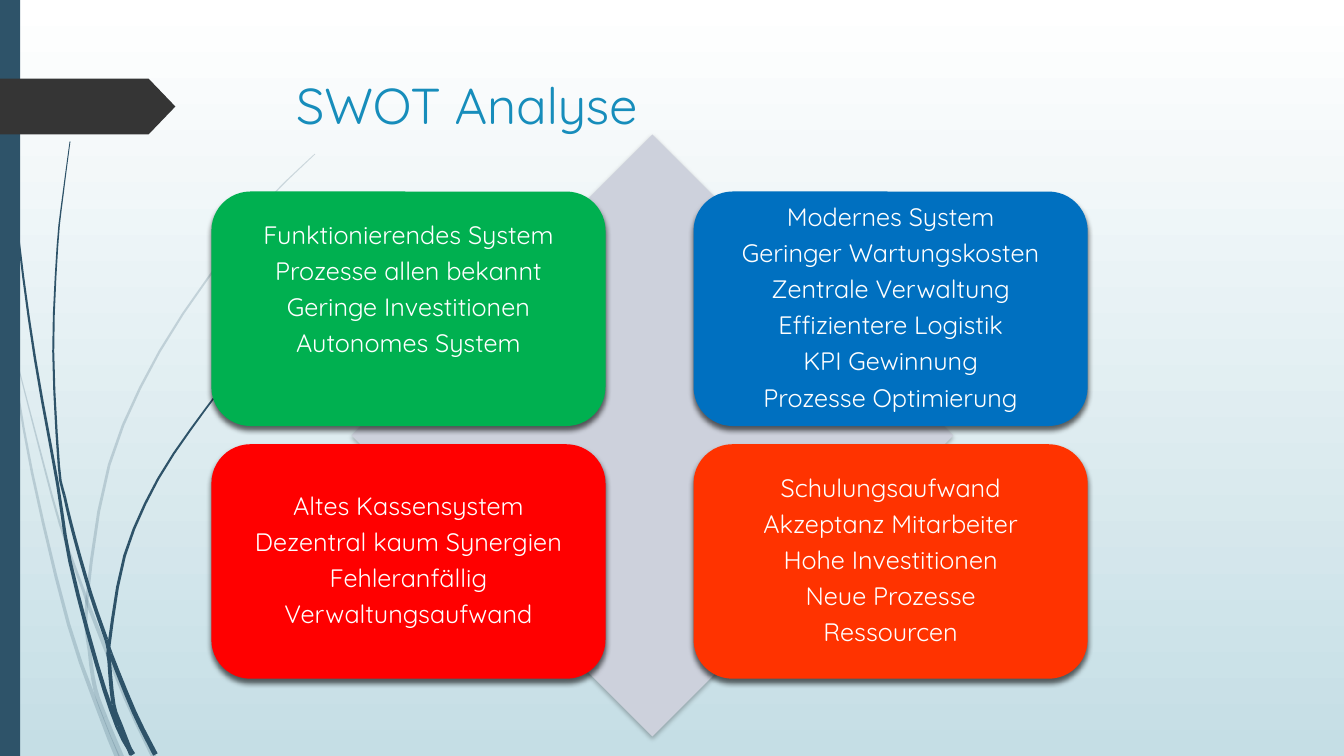
from dataclasses import dataclass
from math import hypot

from lxml import etree
from pptx import Presentation
from pptx import util as u
from pptx.dml.color import RGBColor
from pptx.enum import shapes, text
from pptx.oxml.ns import qn


@dataclass(frozen=True)
class Theme:
    font: str = "Quicksand"
    title_size: int = 36
    card_size: int = 18
    title: str = "178DBB"
    card_text: str = "FFFFFF"
    sky_top: str = "FFFFFF"
    sky_bottom: str = "C5DEE5"
    grass: str = "2E5369"
    tab: str = "353535"
    diamond: str = "CDD1DC"
    shadow: str = "000000"
    strengths: str = "00B050"
    opportunities: str = "0070C0"
    weaknesses: str = "FF0000"
    threats: str = "FF3300"


THEME = Theme()

# Each grass blade: the points of its centre line from tip to root, and the
# indexes of the points where one piece of the blade meets the next.
PALE_BLADES = [
    ([(0, 209), (8, 252), (23, 338), (49, 446), (73, 514), (84, 541)], [1, 4]),
    ([(10, 250), (26, 312), (43, 375), (60, 423), (65, 437), (90, 499),
      (110, 541)], [3, 4]),
    ([(225, 110), (193, 141), (165, 176), (114, 251), (78, 332), (62, 429),
      (64, 465), (68, 492), (75, 512), (87, 541)], [5, 7, 8]),
]
DARK_BLADES = [
    ([(3, 0), (5, 79), (13, 168), (25, 256), (41, 345), (50, 401), (69, 474),
      (84, 519), (95, 539)], [4, 7]),
    ([(50, 101), (45, 139), (41, 176), (38, 251), (42, 332), (46, 354),
      (53, 383), (65, 425), (76, 457), (79, 467), (96, 509), (111, 539)],
     [4, 5, 8, 9]),
    ([(188, 248), (166, 269), (147, 292), (113, 342), (89, 397), (78, 460),
      (78, 472), (81, 503), (86, 518), (94, 539)], [5, 7, 8]),
]
CURVE_STEPS = 3

CARD_WIDTH, CARD_HEIGHT = 281.5, 167.5
CARD_LEFT, CARD_TOP = 151, 136.8
COLUMN_STEP, ROW_STEP = 344.4, 180.5
# Column, row, colour, extra space below the text, lines.
CARDS = [
    (0, 0, THEME.strengths, 26,
     ["Funktionierendes System", "Prozesse allen bekannt",
      "Geringe Investitionen", "Autonomes System"]),
    (1, 0, THEME.opportunities, 0,
     ["Modernes System", "Geringer Wartungskosten", "Zentrale Verwaltung",
      "Effizientere Logistik", "KPI Gewinnung", "Prozesse Optimierung"]),
    (0, 1, THEME.weaknesses, 0,
     ["Altes Kassensystem", "Dezentral kaum Synergien", "Fehleranfällig",
      "Verwaltungsaufwand"]),
    (1, 1, THEME.threats, 0,
     ["Schulungsaufwand", "Akzeptanz Mitarbeiter", "Hohe Investitionen",
      "Neue Prozesse", "Ressourcen"]),
]


def rgb(colour):
    return RGBColor.from_string(colour)


def add_alpha(colour_element, percent):
    etree.SubElement(colour_element, qn("a:alpha"), val=str(percent * 1000))


def paint(shape, colour):
    """Give a shape a plain fill with no outline and no shadow."""
    shape.shadow.inherit = False
    shape.fill.solid()
    shape.fill.fore_color.rgb = rgb(colour)
    shape.line.fill.background()


def add_block(slide, preset, left, top, width, height, colour):
    shape = slide.shapes.add_shape(
        preset, u.Pt(left), u.Pt(top), u.Pt(width), u.Pt(height))
    paint(shape, colour)
    return shape


def drop_shadow(shape, opacity, blur, distance):
    effects = shape._element.spPr.find(qn("a:effectLst"))
    shadow = etree.SubElement(
        effects, qn("a:outerShdw"), blurRad=str(u.Pt(blur)),
        dist=str(u.Pt(distance)), dir="5400000", algn="ctr", rotWithShape="0")
    colour = etree.SubElement(shadow, qn("a:srgbClr"), val=THEME.shadow)
    add_alpha(colour, opacity)


def smooth_curve(points):
    """Return points on a Catmull-Rom curve through the given points."""
    padded = [points[0], *points, points[-1]]
    curve = []
    for a, b, c, d in zip(padded, padded[1:], padded[2:], padded[3:]):
        for step in range(CURVE_STEPS):
            t = step / CURVE_STEPS
            curve.append(tuple(
                q + t * (r - p) / 2 + t * t * (2 * p - 5 * q + 4 * r - s) / 2
                + t ** 3 * (3 * q - p - 3 * r + s) / 2
                for p, q, r, s in zip(a, b, c, d)))
    return curve + [points[-1]]


def add_outline(slide, outline, opacity):
    builder = slide.shapes.build_freeform(*outline[0])
    builder.add_line_segments(outline[1:], close=True)
    shape = builder.convert_to_shape()
    paint(shape, THEME.grass)
    if opacity < 100:
        add_alpha(shape._element.spPr.find(
            qn("a:solidFill")).find(qn("a:srgbClr")), opacity)


def add_blade(slide, points, joints, opacity=100, tip=0.6, root=3.6):
    """Draw a curved ribbon, in pieces, that widens from tip to root."""
    curve = smooth_curve(points)
    last = len(curve) - 1
    left_edge, right_edge = [], []
    for index, (x, y) in enumerate(curve):
        x0, y0 = curve[max(index - 1, 0)]
        x1, y1 = curve[min(index + 1, last)]
        half = (tip + (root - tip) * index / last) / 2
        scale = half / hypot(x1 - x0, y1 - y0)
        dx, dy = (y1 - y0) * scale, (x0 - x1) * scale
        left_edge.append((u.Pt(x + dx), u.Pt(y + dy)))
        right_edge.append((u.Pt(x - dx), u.Pt(y - dy)))
    ends = [joint * CURVE_STEPS for joint in joints]
    for start, end in zip([0, *ends], [*ends, last]):
        piece = slice(start, end + 1)
        add_outline(slide, left_edge[piece] + right_edge[piece][::-1], opacity)


def set_background(slide):
    fill = slide.background.fill
    fill.gradient()
    fill.gradient_angle = 270
    for stop, colour in zip(fill.gradient_stops,
                            (THEME.sky_top, THEME.sky_bottom)):
        stop.color.rgb = rgb(colour)


def style_text(paragraph, size, colour, alignment):
    paragraph.alignment = alignment
    paragraph.font.name = THEME.font
    paragraph.font.size = u.Pt(size)
    paragraph.font.color.rgb = rgb(colour)


def set_title(slide, wording):
    title = slide.shapes.title
    title.left, title.top = u.Pt(204.3), u.Pt(49)
    title.width, title.height = u.Pt(702), u.Pt(101)
    frame = title.text_frame
    frame.text = wording
    frame.auto_size = text.MSO_AUTO_SIZE.NONE
    frame.vertical_anchor = text.MSO_ANCHOR.TOP
    style_text(frame.paragraphs[0], THEME.title_size, THEME.title,
               text.PP_ALIGN.LEFT)


def add_card(slide, column, row, colour, space_below, lines):
    card = add_block(
        slide, shapes.MSO_SHAPE.ROUNDED_RECTANGLE,
        CARD_LEFT + column * COLUMN_STEP, CARD_TOP + row * ROW_STEP,
        CARD_WIDTH, CARD_HEIGHT, colour)
    drop_shadow(card, opacity=60, blur=4, distance=3)
    frame = card.text_frame
    frame.word_wrap = True
    frame.vertical_anchor = text.MSO_ANCHOR.MIDDLE
    frame.margin_left = frame.margin_right = u.Pt(5)
    frame.margin_top = u.Pt(3)
    frame.margin_bottom = u.Pt(3 + space_below)
    frame.text = "\n".join(lines)
    for paragraph in frame.paragraphs:
        style_text(paragraph, THEME.card_size, THEME.card_text,
                   text.PP_ALIGN.CENTER)
        paragraph.line_spacing = 0.9
        paragraph.space_after = u.Pt(6.3)


def main():
    presentation = Presentation()
    presentation.slide_width, presentation.slide_height = u.Pt(960), u.Pt(540)
    slide = presentation.slides.add_slide(presentation.slide_layouts[5])
    set_background(slide)
    for blades, opacity in ((PALE_BLADES, 20), (DARK_BLADES, 100)):
        for points, joints in blades:
            add_blade(slide, points, joints, opacity)
    add_block(slide, shapes.MSO_SHAPE.RECTANGLE, 0, 0, 14.4, 540, THEME.grass)
    tab = add_block(slide, shapes.MSO_SHAPE.PENTAGON, 0, 56.2, 125.3, 39.8,
                    THEME.tab)
    tab.adjustments[0] = 0.48
    set_title(slide, "SWOT Analyse")
    diamond = add_block(slide, shapes.MSO_SHAPE.DIAMOND, 251, 96, 430, 430,
                        THEME.diamond)
    drop_shadow(diamond, opacity=25, blur=3, distance=2)
    for card in CARDS:
        add_card(slide, *card)
    presentation.save("out.pptx")


if __name__ == "__main__":
    main()
